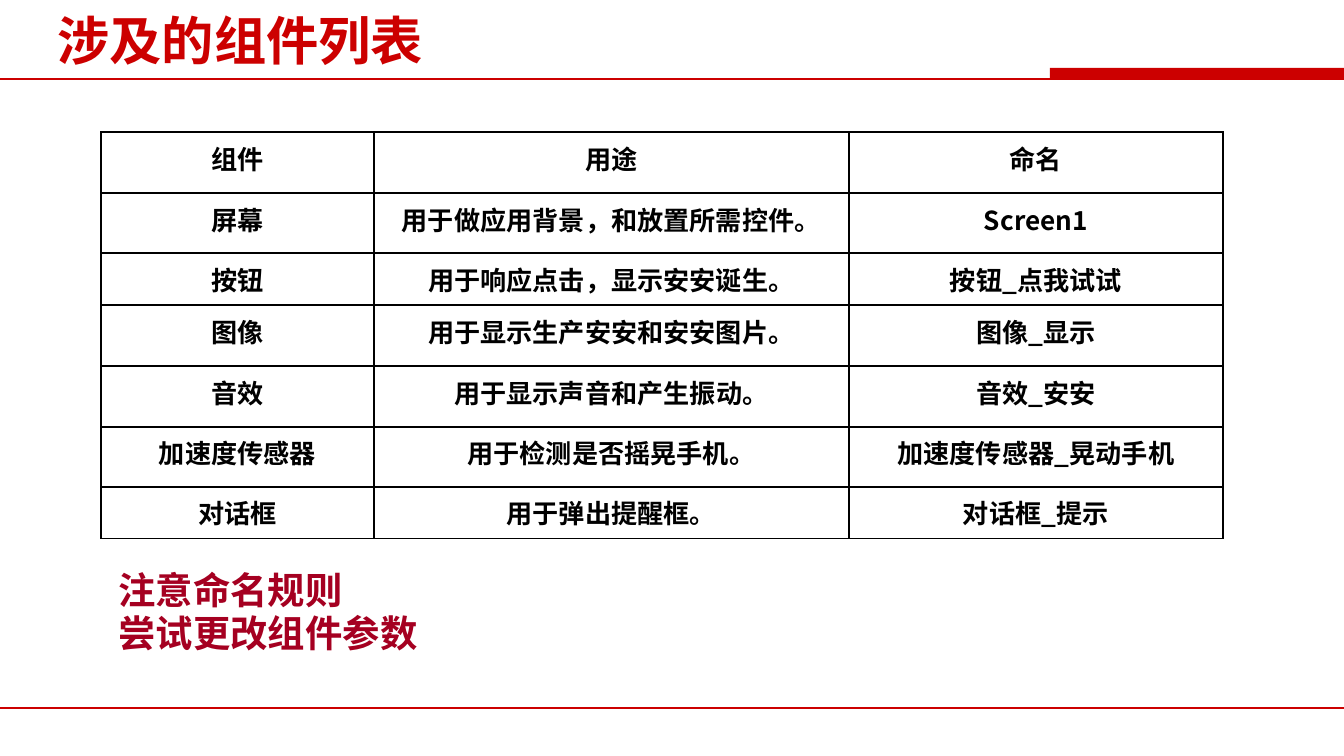
from lxml.etree import SubElement
from pptx import Presentation
from pptx.dml.color import RGBColor
from pptx.enum.shapes import MSO_CONNECTOR, MSO_SHAPE
from pptx.enum.text import MSO_ANCHOR, MSO_AUTO_SIZE, PP_ALIGN
from pptx.oxml.ns import qn
from pptx.util import Emu, Pt

PX_PER_INCH = 134.4
FONT = "Noto Sans CJK SC"
COLORS = {"red": "CC0000", "note": "A50021", "black": "000000", "white": "FFFFFF"}
COLUMNS = [273, 475, 374]
ROWS = [61, 60, 52, 61, 61, 60, 52]
COMPONENTS = [
    ("组件", "用途", "命名"),
    ("屏幕", "用于做应用背景，和放置所需控件。", "Screen1"),
    ("按钮", "用于响应点击，显示安安诞生。", "按钮_点我试试"),
    ("图像", "用于显示生产安安和安安图片。", "图像_显示"),
    ("音效", "用于显示声音和产生振动。", "音效_安安"),
    ("加速度传感器", "用于检测是否摇晃手机。", "加速度传感器_晃动手机"),
    ("对话框", "用于弹出提醒框。", "对话框_提示"),
]
NOTES = ["注意命名规则", "尝试更改组件参数"]


def px(n):
    return Emu(round(n * 914400 / PX_PER_INCH))


def rgb(name):
    return RGBColor.from_string(COLORS[name])


def add_run(p, text, size, color):
    r = p.add_run()
    r.text = text
    r.font.size = Pt(size)
    r.font.bold = True
    r.font.color.rgb = rgb(color)
    r.font.name = FONT
    SubElement(r.font._element, qn("a:ea"), typeface=FONT)


def add_rule(s, y):
    line = s.shapes.add_connector(MSO_CONNECTOR.STRAIGHT, 0, px(y), px(1344), px(y))
    line.line.color.rgb = rgb("red")
    line.line.width = Pt(0.75)
    SubElement(line._element.spPr, qn("a:effectLst"))


def add_bar(s, x, y, w, h):
    bar = s.shapes.add_shape(MSO_SHAPE.RECTANGLE, px(x), px(y), px(w), px(h))
    bar.shadow.inherit = False
    bar.fill.solid()
    bar.fill.fore_color.rgb = rgb("red")
    bar.line.fill.background()


def place(sp, x, y, w, h, anchor):
    sp.left, sp.top, sp.width, sp.height = px(x), px(y), px(w), px(h)
    tf = sp.text_frame
    tf.word_wrap = True
    tf.auto_size = MSO_AUTO_SIZE.NONE
    tf.vertical_anchor = anchor
    return tf


def fill_title(s, text):
    tf = place(s.shapes.title, 44, 7, 1210, 65, MSO_ANCHOR.MIDDLE)
    p = tf.paragraphs[0]
    p.alignment = PP_ALIGN.LEFT
    add_run(p, text, 28, "red")


def fill_notes(s, notes):
    tf = place(s.placeholders[1], 105, 569, 1239, 117, MSO_ANCHOR.TOP)
    for i, note in enumerate(notes):
        p = tf.paragraphs[0] if i == 0 else tf.add_paragraph()
        p.space_before = Pt(4)
        p.line_spacing = 0.8
        pPr = p._p.get_or_add_pPr()
        pPr.set("marL", str(px(51)))
        pPr.set("indent", str(-px(51)))
        SubElement(pPr, qn("a:buNone"))
        add_run(p, note, 20, "note")


def add_borders(cell):
    tcPr = cell._tc.get_or_add_tcPr()
    for side in ("lnL", "lnR", "lnT", "lnB"):
        ln = SubElement(tcPr, qn(f"a:{side}"), w=str(Pt(1)))
        fill = SubElement(ln, qn("a:solidFill"))
        SubElement(fill, qn("a:srgbClr"), val=COLORS["black"])


def add_component_table(s, x, y):
    frame = s.shapes.add_table(
        len(ROWS), len(COLUMNS), px(x), px(y), px(sum(COLUMNS)), px(sum(ROWS))
    )
    table = frame.table
    table.first_row = False
    table.horz_banding = False
    for column, w in zip(table.columns, COLUMNS):
        column.width = px(w)
    for row, h, texts in zip(table.rows, ROWS, COMPONENTS):
        row.height = px(h)
        for cell, text in zip(row.cells, texts):
            add_borders(cell)
            cell.fill.solid()
            cell.fill.fore_color.rgb = rgb("white")
            p = cell.text_frame.paragraphs[0]
            p.alignment = PP_ALIGN.CENTER
            add_run(p, text, 14, "black")


def main():
    prs = Presentation()
    prs.slide_width, prs.slide_height = px(1344), px(756)
    s = prs.slides.add_slide(prs.slide_layouts[1])
    add_rule(s, 79)
    add_bar(s, 1050, 68, 294, 11)
    add_rule(s, 708)
    fill_title(s, "涉及的组件列表")
    fill_notes(s, NOTES)
    add_component_table(s, 101, 132)
    prs.save("out.pptx")


if __name__ == "__main__":
    main()
